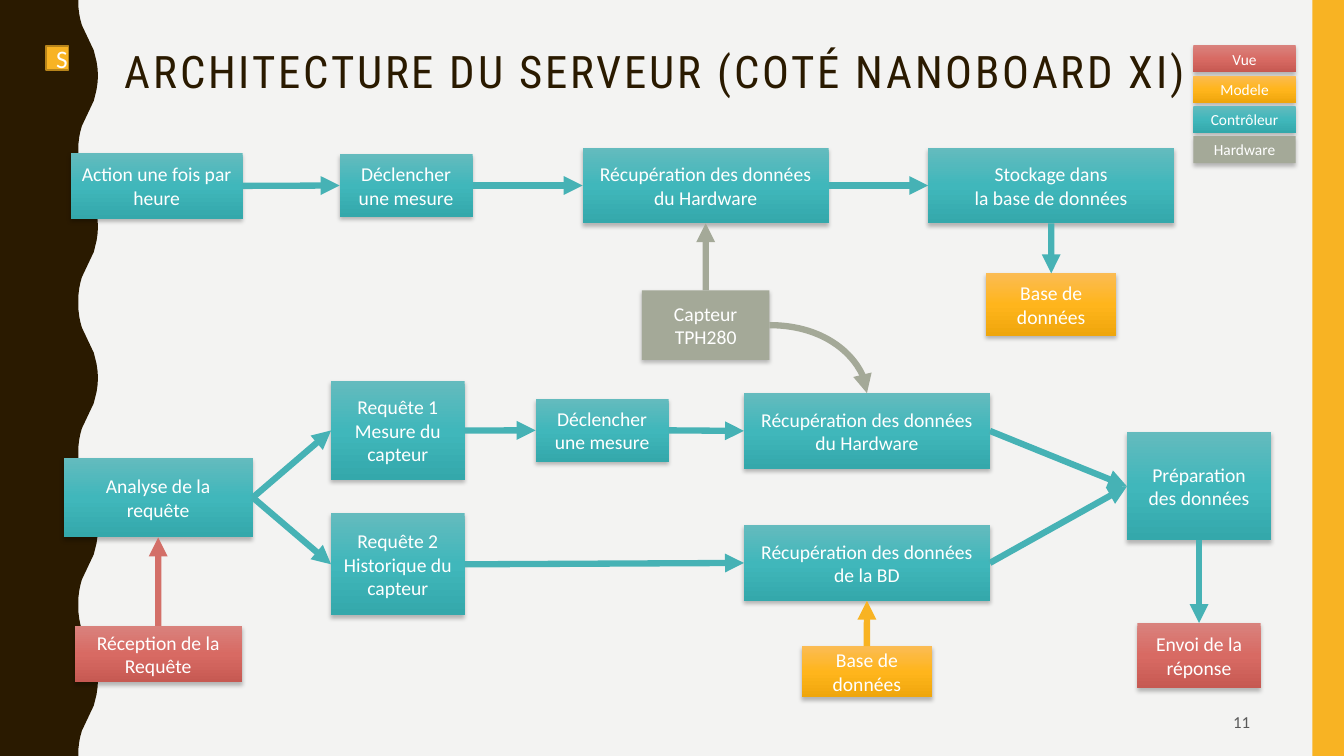
from copy import deepcopy
from lxml.etree import SubElement
from pptx import Presentation
from pptx.dml.color import RGBColor
from pptx.enum.shapes import MSO_CONNECTOR, MSO_SHAPE
from pptx.enum.text import MSO_ANCHOR, MSO_AUTO_SIZE, PP_ALIGN
from pptx.oxml.ns import qn
from pptx.util import Pt

FONT = "Calibri"
WHITE, BROWN, GOLD = "FFFFFF", "2A1A00", "F8B323"
# Colours of each role: gradient stops or one flat fill
VIEW = ["D9827D", "D86A63", "C65952"]
MODEL = ["FBBC54", "FFB51C", "EFA60C"]
CONTROL = ["64BBBE", "40B7BB", "34A8AB"]
HARD = ["A4A998"]
RED, TEAL, GREY = "D36F68", "46B2B5", "A4A998"
# Connection sites of a rectangle
TOP, LEFT, BOTTOM, RIGHT = range(4)
# Half a wave of the left edge: depth and height
WAVE = [(0, 0), (0, 5), (0.6, 10), (1.4, 14), (2.5, 18),
        (11, 36), (12, 40), (13, 44), (13.7, 49), (14, 54)]


def rgb(code):
    return RGBColor.from_string(code)


def write(frame, text, size, color, align, font=FONT):
    """Fill a text frame, one paragraph for each line."""
    frame.word_wrap = True
    frame.vertical_anchor = MSO_ANCHOR.MIDDLE
    for i, line in enumerate(text.split("\n")):
        para = frame.paragraphs[0] if i == 0 else frame.add_paragraph()
        para.alignment = align
        run = para.add_run()
        run.text = line
        run.font.size = Pt(size)
        run.font.name = font
        run.font.color.rgb = rgb(color)


def paint(shape, tones):
    """Apply a flat fill or a three-stop vertical gradient."""
    if len(tones) == 1:
        shape.fill.solid()
        shape.fill.fore_color.rgb = rgb(tones[0])
        return
    shape.fill.gradient()
    stops = shape._element.spPr.find(qn("a:gradFill")).find(qn("a:gsLst"))
    stops.insert(1, deepcopy(stops[0]))
    for i, (stop, tone) in enumerate(zip(shape.fill.gradient_stops, tones)):
        stop.position = i / 2
        stop.color.rgb = rgb(tone)
    shape.fill.gradient_angle = 270


def shade(shape):
    """Give a soft shadow below the shape."""
    shape.shadow.inherit = False
    effects = shape._element.spPr.find(qn("a:effectLst"))
    outer = SubElement(effects, qn("a:outerShdw"), blurRad=str(Pt(3)),
                       dist=str(Pt(2)), dir="5400000", rotWithShape="0")
    tint = SubElement(outer, qn("a:srgbClr"), val="000000")
    SubElement(tint, qn("a:alpha"), val="25000")


def rect(slide, x, y, w, h, tones):
    shape = slide.shapes.add_shape(MSO_SHAPE.RECTANGLE, Pt(x), Pt(y), Pt(w), Pt(h))
    shape.shadow.inherit = False
    paint(shape, tones)
    shape.line.fill.background()
    return shape


def node(slide, x, y, w, h, text, tones, size=14):
    shape = rect(slide, x, y, w, h, tones)
    shade(shape)
    write(shape.text_frame, text, size, WHITE, PP_ALIGN.CENTER)
    return shape


def link(slide, start, out, end, into, color=TEAL, curve=False):
    """Join two nodes with an arrow."""
    kind = MSO_CONNECTOR.CURVE if curve else MSO_CONNECTOR.STRAIGHT
    line = slide.shapes.add_connector(kind, 0, 0, 0, 0)
    line.begin_connect(start, out)
    line.end_connect(end, into)
    line.line.width = Pt(4.5)
    line.line.color.rgb = rgb(color)
    props = line._element.spPr
    if curve:
        props.find(qn("a:prstGeom")).set("prst", "curvedConnector2")
    SubElement(props.find(qn("a:ln")), qn("a:tailEnd"), type="triangle")
    SubElement(props, qn("a:effectLst"))


def flow(slide, x, y, steps):
    """Place named nodes from the corner x, y."""
    return {name: node(slide, x + dx, y + dy, w, h, text, tones)
            for name, dx, dy, w, h, text, tones in steps}


def back(slide, x, y, w, h):
    # Background and wavy left edge
    slide.background.fill.solid()
    slide.background.fill.fore_color.rgb = rgb("F3F3F2")
    edge = []
    for top in range(0, h, 108):
        edge += [(56 + d, top + v) for d, v in WAVE]
        edge += [(56 + d, top + 108 - v) for d, v in reversed(WAVE)]
    pen = slide.shapes.build_freeform(Pt(x), Pt(y))
    pen.add_line_segments([(Pt(x + d), Pt(y + v)) for d, v in edge + [(0, h)]])
    wave = pen.convert_to_shape()
    wave.shadow.inherit = False
    paint(wave, [BROWN])
    wave.line.fill.background()
    # Right band
    rect(slide, x + w - 22.5, y, 22.5, h, [GOLD])
    # Small badge
    badge = rect(slide, x + 33, y + 33, 16, 17, [GOLD])
    badge.line.color.rgb = rgb("B7841A")
    badge.line.width = Pt(1)
    write(badge.text_frame, "S", 18, WHITE, PP_ALIGN.CENTER)


def head(slide, x, y, w, h):
    title = slide.shapes.title
    title.left, title.top, title.width, title.height = Pt(x), Pt(y), Pt(w), Pt(h)
    frame = title.text_frame
    frame.auto_size = MSO_AUTO_SIZE.NONE
    write(frame, "ARCHITECTURE DU SERVEUR (COTÉ NANOBOARD XI)", 32, BROWN,
          PP_ALIGN.LEFT, "Roboto Condensed")
    para = frame.paragraphs[0]
    para.line_spacing = 0.9
    para.runs[0].font._element.set("spc", "200")


def legend(slide, x, y, w, h):
    roles = [("Vue", VIEW), ("Modele", MODEL), ("Contrôleur", CONTROL), ("Hardware", HARD)]
    step = h / len(roles)
    for i, (text, tones) in enumerate(roles):
        node(slide, x, y + i * step, w, step - 2.2, text, tones, 11)


def hourly(slide, x, y):
    """Draw the hourly measure and return its sensor."""
    part = flow(slide, x, y, [
        ("act", 0.4, 4.4, 123, 46.8, "Action une fois par heure", CONTROL),
        ("run", 192.6, 5.2, 95, 44.6, "Déclencher une mesure", CONTROL),
        ("get", 366.2, 0.5, 175.7, 54, "Récupération des données du Hardware", CONTROL),
        ("save", 613, 0.5, 175.7, 54, "Stockage dans\nla base de données", CONTROL),
        ("base", 654.4, 90.2, 93, 44.6, "Base de données", MODEL),
        ("probe", 408.6, 102.4, 91, 49.7, "Capteur TPH280", HARD),
    ])
    for a, b in [("act", "run"), ("run", "get"), ("get", "save")]:
        link(slide, part[a], RIGHT, part[b], LEFT)
    link(slide, part["save"], BOTTOM, part["base"], TOP)
    link(slide, part["probe"], TOP, part["get"], BOTTOM, GREY)
    return part["probe"]


def request(slide, x, y, probe):
    """Draw the handling of a request, fed by the sensor."""
    part = flow(slide, x, y, [
        ("read", 0.4, 54.9, 135.2, 57, "Analyse de la requête", CONTROL),
        ("recv", 8.3, 175.1, 119.5, 40.3, "Réception de la Requête", VIEW),
        ("now", 191.5, 0.2, 95.4, 70.6, "Requête 1\nMesure du capteur", CONTROL),
        ("past", 191.5, 94.5, 95.4, 73.2, "Requête 2\nHistorique du capteur", CONTROL),
        ("run", 337.6, 13.1, 95, 44.6, "Déclencher une mesure", CONTROL),
        ("get", 486.4, 8.8, 175.7, 54, "Récupération des données du Hardware", CONTROL),
        ("load", 486.4, 103.1, 175.7, 54, "Récupération des données de la BD", CONTROL),
        ("base", 527.7, 189.5, 93, 36.7, "Base de données", MODEL),
        ("prep", 760, 36.9, 103, 77, "Préparation des données", CONTROL),
        ("send", 767.5, 173, 88, 46.8, "Envoi de la réponse", VIEW),
    ])
    for a, b in [("read", "now"), ("read", "past"), ("now", "run"), ("run", "get"),
                 ("past", "load"), ("get", "prep"), ("load", "prep")]:
        link(slide, part[a], RIGHT, part[b], LEFT)
    link(slide, part["prep"], BOTTOM, part["send"], TOP)
    link(slide, part["recv"], TOP, part["read"], BOTTOM, RED)
    link(slide, part["base"], TOP, part["load"], BOTTOM, GOLD)
    link(slide, probe, RIGHT, part["get"], TOP, GREY, curve=True)


def number(slide, x, y, w, h):
    area = slide.shapes.add_textbox(Pt(x), Pt(y), Pt(w), Pt(h))
    write(area.text_frame, "11", 12, "595959", PP_ALIGN.RIGHT)


def main():
    deck = Presentation()
    deck.slide_width, deck.slide_height = Pt(960), Pt(540)
    slide = deck.slides.add_slide(deck.slide_layouts[5])
    back(slide, 0, 0, 960, 540)
    head(slide, 82, 32.4, 792, 41)
    legend(slide, 852.5, 32.4, 73, 86.4)
    probe = hourly(slide, 50, 105)
    request(slide, 45, 272, probe)
    number(slide, 678, 502, 222, 27)
    deck.save("out.pptx")


if __name__ == "__main__":
    main()
